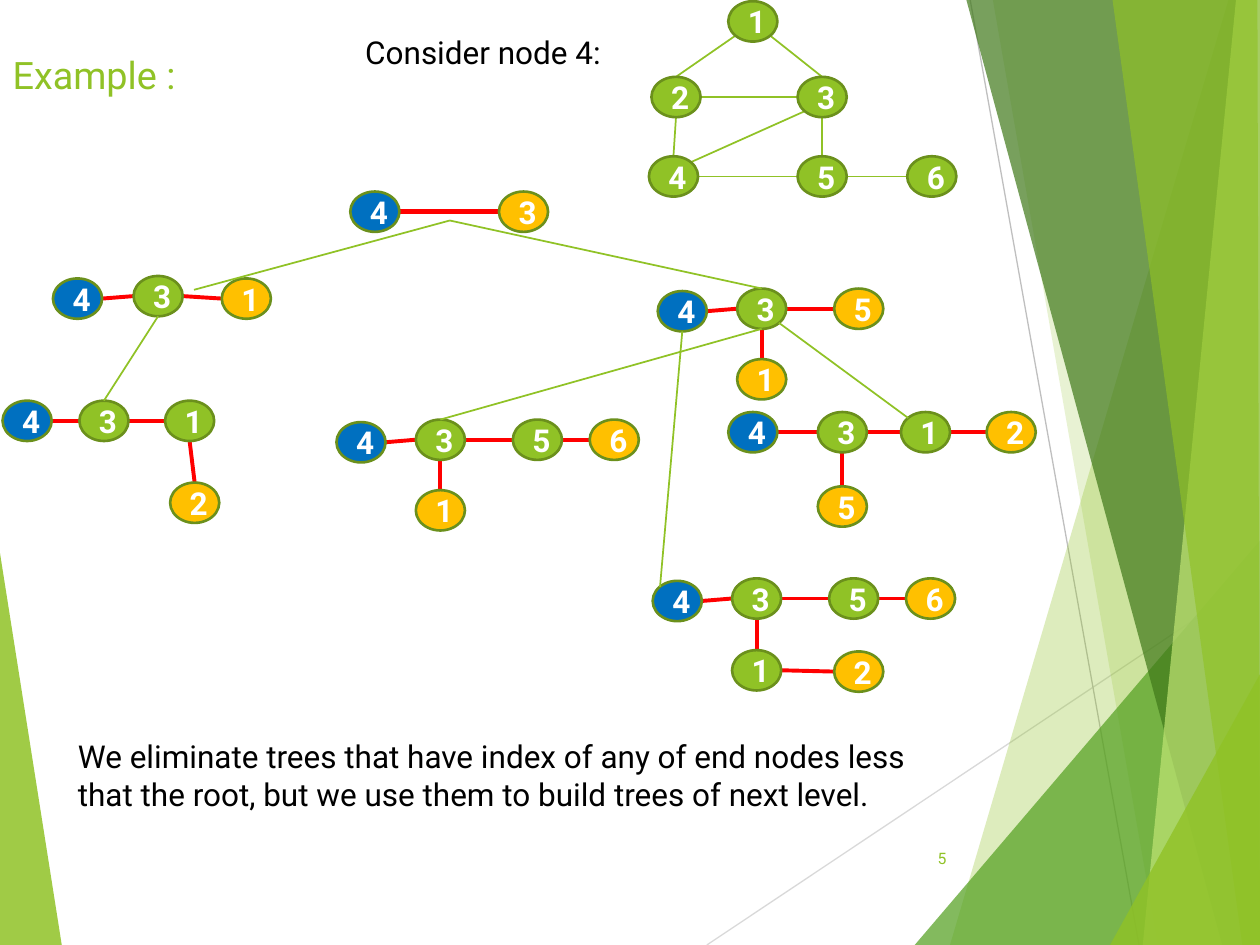
from dataclasses import dataclass

from lxml.etree import SubElement as Sub
from pptx import Presentation
from pptx.dml.color import RGBColor as Rgb
from pptx.enum.shapes import MSO_CONNECTOR as Link, MSO_SHAPE as Form
from pptx.enum.text import MSO_ANCHOR as Anchor, MSO_AUTO_SIZE as Fit, PP_ALIGN as Align
from pptx.oxml.ns import qn
from pptx.util import Inches, Pt

Point = tuple[float, float]


@dataclass(frozen=True)
class Theme:
    font: str = "Roboto"
    green: str = "90C226"
    rim: str = "6B901C"
    blue: str = "0070C0"
    gold: str = "FFC000"
    red: str = "FF0000"
    leaf: str = "54A021"
    dark: str = "3F7819"
    lime: str = "C0E474"
    pale: str = "D9D9D9"
    gray: str = "BFBFBF"
    white: str = "FFFFFF"
    black: str = "000000"
    head: float = 21.6
    body: float = 18
    small: float = 9
    wide: float = 0.39
    high: float = 0.32


T = Theme()


@dataclass(frozen=True)
class Node:
    label: str
    x: float
    y: float
    fill: str = T.green


@dataclass(frozen=True)
class Tree:
    name: str
    nodes: list[Node]
    edges: str  # "4r-3l" joins the right of node 4 to the left of node 3
    color: str = T.red
    width: float = 2.25


@dataclass(frozen=True)
class Facet:
    points: list[Point]
    color: str
    alpha: int


# Background: the left wedge, two thin lines, then the right facets
WEDGE = Facet([(0, 4.39), (0.49, 7.5), (0, 7.5)], T.green, 85)
RAYS = [((5.61, 7.5), (10, 4.57), T.pale), ((7.7, 0), (9.04, 7.5), T.gray)]
FACETS = [
    Facet([(9.75, 0), (7.54, 7.5), (10, 7.5), (10, 0)], T.green, 30),
    Facet([(7.88, 0), (9.19, 7.5), (10, 7.5), (10, 0)], T.green, 20),
    Facet([(7.26, 7.5), (10, 4.29), (10, 7.5)], T.leaf, 72),
    Facet([(7.67, 0), (9.7, 7.5), (10, 7.5), (10, 0)], T.dark, 70),
    Facet([(9.81, 0), (9.07, 7.5), (10, 7.5), (10, 0)], T.lime, 70),
    Facet([(8.83, 0), (9.86, 7.5), (10, 7.5), (9.98, 0)], T.green, 65),
    Facet([(8.81, 7.5), (10, 5.35), (10, 7.5)], T.green, 80),
]

# The graph, then the trees grown from node 4 (blue root, gold newest ends)
TREES = [
    Tree("graph", [Node("1", 5.78, 0.01), Node("2", 5.17, 0.61), Node("3", 6.33, 0.61),
                   Node("4", 5.15, 1.24), Node("5", 6.33, 1.24), Node("6", 7.2, 1.24)],
         "1bl-2t 1br-3t 2b-4t 4r-5l 3b-5t 2r-3l 4tr-3bl 5r-6l", T.green, 1),
    Tree("root", [Node("4", 2.78, 1.52, T.blue), Node("3", 3.96, 1.52, T.gold)],
         "4r-3l", width=3),
    Tree("left", [Node("4", 0.42, 2.21, T.blue), Node("3", 1.06, 2.19),
                  Node("1", 1.76, 2.21, T.gold)], "4r-3l 3r-1l"),
    Tree("right", [Node("4", 5.22, 2.31, T.blue), Node("3", 5.85, 2.29),
                   Node("5", 6.62, 2.29, T.gold), Node("1", 5.85, 2.85, T.gold)],
         "4r-3l 3r-5l 3b-1t"),
    Tree("tail", [Node("4", 0.02, 3.18, T.blue), Node("3", 0.63, 3.18),
                  Node("1", 1.31, 3.18), Node("2", 1.35, 3.83, T.gold)],
         "4r-3l 3r-1l 1b-2t"),
    Tree("mid", [Node("4", 2.67, 3.35, T.blue), Node("3", 3.3, 3.33),
                 Node("5", 4.07, 3.33), Node("6", 4.68, 3.33, T.gold),
                 Node("1", 3.3, 3.89, T.gold)], "4r-3l 3r-5l 5r-6l 3b-1t"),
    Tree("far", [Node("4", 5.78, 3.27, T.blue), Node("3", 6.49, 3.27),
                 Node("1", 7.15, 3.27), Node("2", 7.83, 3.27, T.gold),
                 Node("5", 6.49, 3.86, T.gold)], "4r-3l 3r-1l 1r-2l 3b-5t"),
    Tree("low", [Node("4", 5.18, 4.61, T.blue), Node("3", 5.81, 4.59),
                 Node("5", 6.58, 4.59), Node("6", 7.19, 4.59, T.gold),
                 Node("1", 5.81, 5.16), Node("2", 6.62, 5.17, T.gold)],
         "4r-3l 3r-5l 5r-6l 3b-1t 1r-2l"),
]

# Branches from each tree to those of the next level
FORK = (3.57, 1.75)
GROWTH = [("left", "3b", "tail", "3t"), ("right", "3br", "far", "1tl"),
          ("right", "3b", "mid", "3t"), ("right", "4b", "low", "4tl")]


def put_text(shape, text: str, *, size: float = T.body, color: str = T.black,
             bold: bool = False, align=Align.LEFT, anchor=Anchor.TOP) -> None:
    frame = shape.text_frame
    frame.word_wrap = True
    frame.auto_size = Fit.NONE
    frame.vertical_anchor = anchor
    para = frame.paragraphs[0]
    para.alignment = align
    run = para.add_run()
    run.text = text
    font = run.font
    font.name, font.size, font.bold = T.font, Pt(size), bold
    font.color.rgb = Rgb.from_string(color)


def add_box(shapes, x: float, y: float, w: float, h: float, text: str, **style) -> None:
    put_text(shapes.add_textbox(*map(Inches, (x, y, w, h))), text, **style)


def add_line(shapes, start: Point, end: Point, color: str, width: float) -> None:
    line = shapes.add_connector(Link.STRAIGHT, *map(Inches, (*start, *end)))
    line.line.color.rgb = Rgb.from_string(color)
    line.line.width = Pt(width)
    Sub(line._element.spPr, qn("a:effectLst"))


def add_facet(shapes, facet: Facet) -> None:
    first, *rest = [(Inches(x), Inches(y)) for x, y in facet.points]
    pen = shapes.build_freeform(*first)
    pen.add_line_segments(rest, close=True)
    shape = pen.convert_to_shape()
    shape.shadow.inherit = False
    shape.line.fill.background()
    shape.fill.solid()
    shape.fill.fore_color.rgb = Rgb.from_string(facet.color)
    tint = shape._element.spPr.find(".//" + qn("a:srgbClr"))
    Sub(tint, qn("a:alpha"), val=str(facet.alpha * 1000))


def add_node(shapes, node: Node) -> None:
    oval = shapes.add_shape(Form.OVAL, *map(Inches, (node.x, node.y, T.wide, T.high)))
    oval.shadow.inherit = False
    oval.fill.solid()
    oval.fill.fore_color.rgb = Rgb.from_string(node.fill)
    oval.line.color.rgb = Rgb.from_string(T.rim)
    oval.line.width = Pt(1.5)
    put_text(oval, node.label, color=T.white, bold=True,
             align=Align.CENTER, anchor=Anchor.MIDDLE)


def find_site(tree: Tree, site: str) -> Point:
    """Point on a node's rim; two side letters mean a diagonal."""
    node = next(n for n in tree.nodes if n.label == site[0])
    sides = site[1:]
    reach = 0.5 if len(sides) == 1 else 0.35
    across = ("r" in sides) - ("l" in sides)
    down = ("b" in sides) - ("t" in sides)
    return (node.x + T.wide * (0.5 + reach * across),
            node.y + T.high * (0.5 + reach * down))


def add_tree(shapes, tree: Tree) -> None:
    for edge in tree.edges.split():
        start, end = (find_site(tree, site) for site in edge.split("-"))
        add_line(shapes, start, end, tree.color, tree.width)
    for node in tree.nodes:
        add_node(shapes, node)


def main() -> None:
    deck = Presentation()
    deck.slide_width, deck.slide_height = Inches(10), Inches(7.5)
    slide = deck.slides.add_slide(deck.slide_layouts[5])
    shapes = slide.shapes

    # Background
    add_facet(shapes, WEDGE)
    for start, end, color in RAYS:
        add_line(shapes, start, end, color, 0.75)
    for facet in FACETS:
        add_facet(shapes, facet)

    # Title and text
    title = shapes.title
    title.left, title.top, title.width, title.height = map(Inches, (0, 0.36, 1.61, 0.55))
    put_text(title, "Example :", size=T.head, color=T.green)
    add_box(shapes, 2.8, 0.21, 2.68, 0.4, "Consider node 4:")
    add_box(shapes, 0.52, 5.8, 6.87, 1.01,
            "We eliminate trees that have index of any of end nodes less "
            "that the root, but we use them to build trees of next level.")
    add_box(shapes, 7.05, 6.61, 0.56, 0.4, "5", size=T.small, color=T.green,
            align=Align.RIGHT, anchor=Anchor.MIDDLE)

    # Trees and the branches between them
    for tree in TREES:
        add_tree(shapes, tree)
    named = {tree.name: tree for tree in TREES}
    add_line(shapes, FORK, (1.54, 2.3), T.green, 1)
    add_line(shapes, FORK, find_site(named["right"], "3t"), T.green, 1)
    for old, start, new, end in GROWTH:
        add_line(shapes, find_site(named[old], start), find_site(named[new], end),
                 T.green, 1)

    deck.save("out.pptx")


if __name__ == "__main__":
    main()
